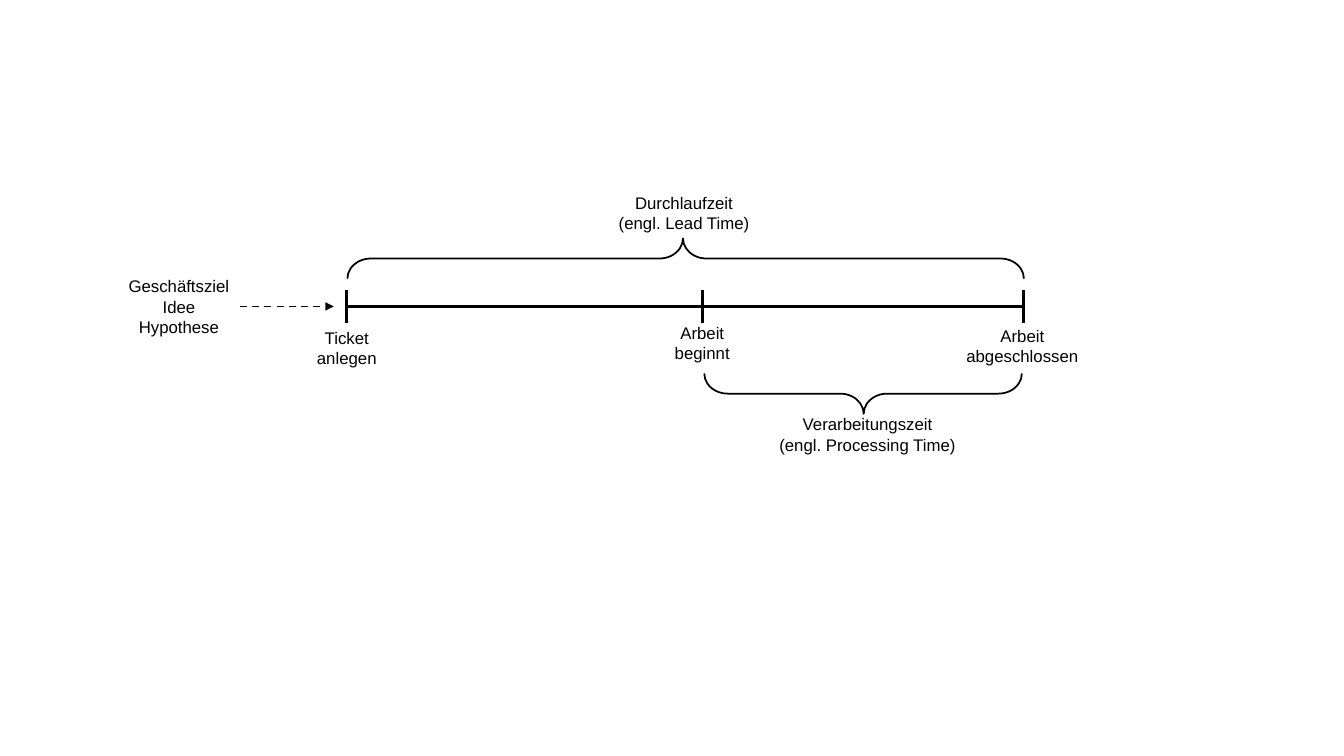
"""Build a slide that sets lead time against processing time on a time line."""
from dataclasses import dataclass

from lxml import etree
from pptx import Presentation
from pptx.dml.color import RGBColor
from pptx.enum.dml import MSO_LINE
from pptx.enum.shapes import MSO_CONNECTOR, MSO_SHAPE
from pptx.enum.text import MSO_AUTO_SIZE, PP_ALIGN
from pptx.oxml.ns import qn
from pptx.shapes.autoshape import Shape
from pptx.shapes.connector import Connector
from pptx.slide import Slide
from pptx.util import Inches, Pt

STRAIGHT = MSO_CONNECTOR.STRAIGHT
BRACE = MSO_SHAPE.LEFT_BRACE
DASH = MSO_LINE.DASH
CENTER = PP_ALIGN.CENTER
GROW = MSO_AUTO_SIZE.SHAPE_TO_FIT_TEXT
RIGHT_SIDE = 3


@dataclass(frozen=True)
class Theme:
    ink: RGBColor = RGBColor(0, 0, 0)
    font: str = "Arial"
    size: float = 12
    thick: float = 2
    thin: float = 1.25


@dataclass(frozen=True)
class Label:
    left: float
    top: float
    width: float
    height: float
    paras: tuple[str, ...]


@dataclass(frozen=True)
class Line:
    x1: float
    y1: float
    x2: float
    y2: float
    weight: float


@dataclass(frozen=True)
class Brace:
    left: float
    top: float
    width: float
    height: float
    turn: int
    point: float


THEME = Theme()
AXIS = 3.04
TICK = 0.16
START, BEGIN, DONE = 3.44, 6.97, 10.15

LINES = [Line(START, AXIS, DONE, AXIS, THEME.thick)] + [
    Line(x, AXIS + TICK, x, AXIS - TICK, THEME.thick) for x in (START, BEGIN, DONE)
]
BRACES = [
    Brace(6.6, -0.79, 0.4, 6.71, 90, 0.504),
    Brace(8.36, 2.33, 0.4, 3.15, 270, 0.502),
]
LABELS = [
    Label(3.04, 3.2, 0.8, 0.5, ("Ticket", "anlegen")),
    Label(6.59, 3.15, 0.75, 0.5, ("Arbeit\nbeginnt",)),
    Label(9.48, 3.18, 1.32, 0.5, ("Arbeit\nabgeschlossen",)),
    Label(6.03, 1.86, 1.51, 0.5, ("Durchlaufzeit\n(engl. Lead Time)",)),
    Label(7.62, 4.06, 1.97, 0.5, ("Verarbeitungszeit\n(engl. Processing Time)",)),
]
SOURCE = Label(1.17, 2.69, 1.21, 0.7, ("Geschäftsziel", "Idee", "Hypothese"))
ARROW = Line(2.38, AXIS, 3.31, AXIS, THEME.thin)


def draw_line(slide: Slide, line: Line) -> Connector:
    """Draw a straight line without a shadow."""
    ends = [Inches(n) for n in (line.x1, line.y1, line.x2, line.y2)]
    shape = slide.shapes.add_connector(STRAIGHT, *ends)
    shape.line.color.rgb = THEME.ink
    shape.line.width = Pt(line.weight)
    etree.SubElement(shape.element.spPr, qn("a:effectLst"))
    return shape


def draw_brace(slide: Slide, brace: Brace) -> None:
    """Draw a turned brace around a span of time."""
    frame = [Inches(n) for n in (brace.left, brace.top, brace.width, brace.height)]
    shape = slide.shapes.add_shape(BRACE, *frame)
    shape.rotation = brace.turn
    shape.adjustments[0] = 0.583
    shape.adjustments[1] = brace.point
    shape.shadow.inherit = False
    shape.fill.background()
    shape.line.color.rgb = THEME.ink
    shape.line.width = Pt(THEME.thin)


def draw_label(slide: Slide, label: Label) -> Shape:
    """Write centred text, with a line break at each newline."""
    place = [Inches(n) for n in (label.left, label.top, label.width, label.height)]
    box = slide.shapes.add_textbox(*place)
    frame = box.text_frame
    frame.word_wrap = False
    frame.auto_size = GROW
    for i, text in enumerate(label.paras):
        para = frame.add_paragraph() if i else frame.paragraphs[0]
        para.alignment = CENTER
        for j, part in enumerate(text.split("\n")):
            if j:
                para.add_line_break()
            run = para.add_run()
            run.text = part
            run.font.name = THEME.font
            run.font.size = Pt(THEME.size)
            run.font.color.rgb = THEME.ink
    return box


def draw_arrow(slide: Slide, line: Line, box: Shape) -> None:
    """Draw a dashed arrow that leaves the right side of a box."""
    arrow = draw_line(slide, line)
    arrow.begin_connect(box, RIGHT_SIDE)
    arrow.line.dash_style = DASH
    stroke = arrow.line._get_or_add_ln()
    etree.SubElement(stroke, qn("a:tailEnd"), type="triangle")


def main() -> None:
    """Build and save the slide."""
    deck = Presentation()
    deck.slide_width = Inches(13.33)
    deck.slide_height = Inches(7.5)
    slide = deck.slides.add_slide(deck.slide_layouts[6])
    for line in LINES:
        draw_line(slide, line)
    for brace in BRACES:
        draw_brace(slide, brace)
    for label in LABELS:
        draw_label(slide, label)
    draw_arrow(slide, ARROW, draw_label(slide, SOURCE))
    deck.save("out.pptx")


if __name__ == "__main__":
    main()
